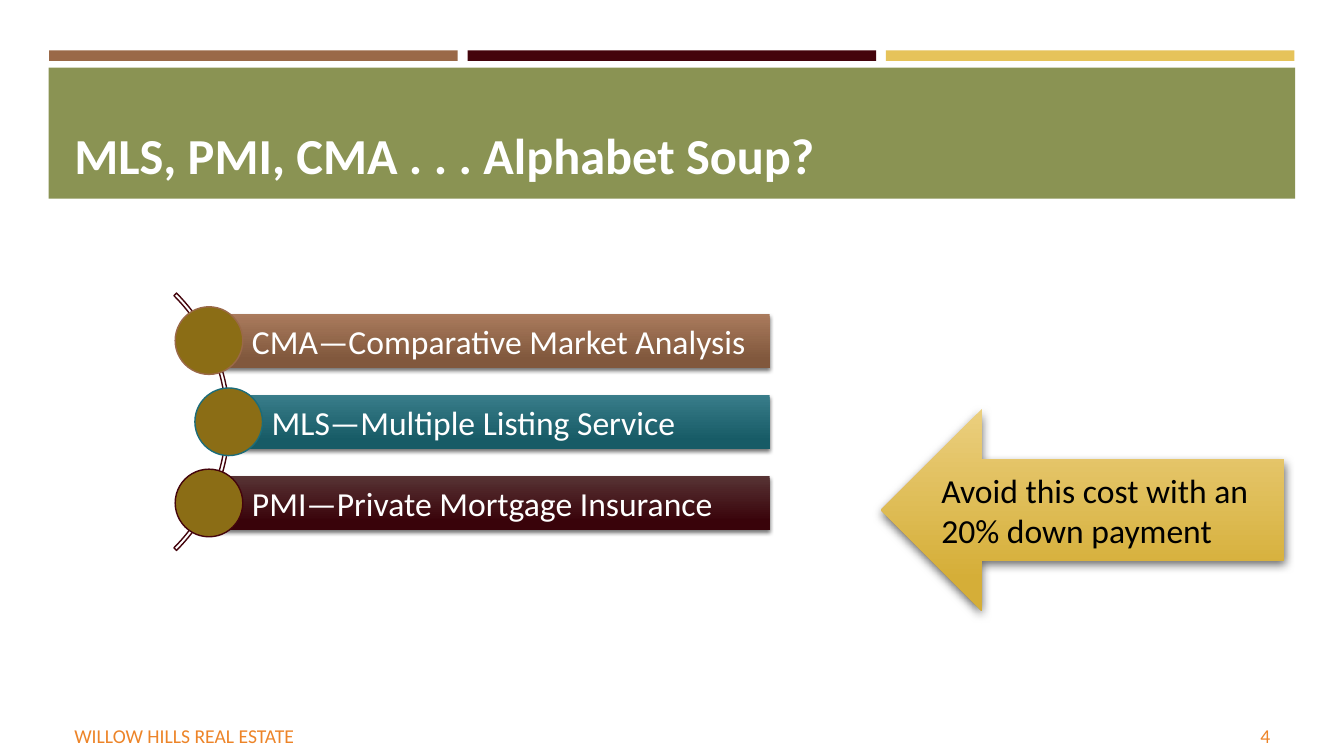
from dataclasses import dataclass

from lxml.etree import SubElement
from pptx import Presentation
from pptx.dml.color import RGBColor
from pptx.enum.shapes import MSO_SHAPE
from pptx.enum.text import MSO_ANCHOR, PP_ALIGN
from pptx.oxml.ns import qn
from pptx.shapes.autoshape import Shape
from pptx.slide import Slide
from pptx.util import Pt


@dataclass(frozen=True)
class Theme:
    font: str = "Calibri"
    title_size: int = 36
    body_size: int = 24
    footer_size: int = 14
    white: str = "FFFFFF"
    black: str = "000000"
    brown: str = "9A6948"
    maroon: str = "44040C"
    gold: str = "E6C35A"
    teal: str = "1C6C79"
    olive: str = "8A9353"
    bronze: str = "8B6D15"
    orange: str = "ED8428"
    brown_fade: tuple[str, str] = ("AA7B5D", "81583D")
    teal_fade: tuple[str, str] = ("397D8A", "175B66")
    maroon_fade: tuple[str, str] = ("573334", "39030A")
    gold_fade: tuple[str, str] = ("EBCF7E", "D5AE38")


@dataclass(frozen=True)
class Box:
    left: float
    top: float
    width: float
    height: float

    def lengths(self) -> tuple[Pt, Pt, Pt, Pt]:
        return Pt(self.left), Pt(self.top), Pt(self.width), Pt(self.height)


@dataclass(frozen=True)
class Term:
    text: str
    left: float
    fade: tuple[str, str]
    outline: str


@dataclass(frozen=True)
class Shadow:
    opacity: int
    blur: float
    distance: float
    angle: int


THEME = Theme()
TERMS = (
    Term("CMA—Comparative Market Analysis", 149.3, THEME.brown_fade, THEME.brown),
    Term("MLS—Multiple Listing Service", 163.4, THEME.teal_fade, THEME.teal),
    Term("PMI—Private Mortgage Insurance", 149.3, THEME.maroon_fade, THEME.maroon),
)
LIST_MIDDLE, TERM_STEP = 301.3, 58
BAR_RIGHT, BAR_HEIGHT, DOT_SIZE = 549.8, 38.6, 48.3
ARC_CENTER, ARC_SIZE = 34.2, 260
STRIP_LEFT, STRIP_STEP, STRIP_WIDTH = 35.1, 298.9, 291.8


def add_shape(slide: Slide, kind: MSO_SHAPE, box: Box, fill: str | None = None,
              outline: str | None = None) -> Shape:
    sp = slide.shapes.add_shape(kind, *box.lengths())
    sp.shadow.inherit = False
    if fill:
        sp.fill.solid()
        sp.fill.fore_color.rgb = RGBColor.from_string(fill)
    else:
        sp.fill.background()
    if outline:
        sp.line.color.rgb = RGBColor.from_string(outline)
        sp.line.width = Pt(1)
    else:
        sp.line.fill.background()
    return sp


def add_raised_shape(slide: Slide, kind: MSO_SHAPE, box: Box,
                     fade: tuple[str, str], shadow: Shadow) -> Shape:
    """Add a shape with a downward gradient and an outer shadow."""
    sp = add_shape(slide, kind, box)
    sp.fill.gradient()
    sp.fill.gradient_angle = 270
    for stop, color, position in zip(sp.fill.gradient_stops, fade, (0, 0.84)):
        stop.color.rgb = RGBColor.from_string(color)
        stop.position = position
    effects = sp._element.spPr.find(qn("a:effectLst"))
    outer = SubElement(effects, qn("a:outerShdw"), blurRad=str(Pt(shadow.blur)),
                       dist=str(Pt(shadow.distance)), dir=str(shadow.angle * 60000),
                       algn="ctr", rotWithShape="0")
    color = SubElement(outer, qn("a:srgbClr"), val=THEME.black)
    SubElement(color, qn("a:alpha"), val=str(shadow.opacity * 1000))
    return sp


def write(sp: Shape, text: str, size: int, color: str, bold: bool = False,
          align: PP_ALIGN = PP_ALIGN.LEFT,
          anchor: MSO_ANCHOR = MSO_ANCHOR.MIDDLE) -> None:
    tf = sp.text_frame
    tf.word_wrap = True
    tf.vertical_anchor = anchor
    p = tf.paragraphs[0]
    p.text = text
    p.alignment = align
    p.font.name = THEME.font
    p.font.size = Pt(size)
    p.font.bold = bold
    p.font.color.rgb = RGBColor.from_string(color)


def add_header(slide: Slide) -> None:
    for i, color in enumerate((THEME.brown, THEME.maroon, THEME.gold)):
        box = Box(STRIP_LEFT + i * STRIP_STEP, 36, STRIP_WIDTH, 7.5)
        add_shape(slide, MSO_SHAPE.RECTANGLE, box, color)
    add_shape(slide, MSO_SHAPE.RECTANGLE, Box(34.8, 48.4, 890.4, 93.6), THEME.olive)
    title = slide.shapes.add_textbox(*Box(46, 55.4, 868.3, 80).lengths())
    write(title, "MLS, PMI, CMA . . . Alphabet Soup?", THEME.title_size,
          THEME.white, bold=True, anchor=MSO_ANCHOR.BOTTOM)


def add_terms(slide: Slide) -> None:
    """Draw the arc and the labelled bars strung along it."""
    arc = add_shape(slide, MSO_SHAPE.BLOCK_ARC,
                    Box(ARC_CENTER - ARC_SIZE / 2, LIST_MIDDLE - ARC_SIZE / 2,
                        ARC_SIZE, ARC_SIZE), outline=THEME.maroon)
    for i, value in enumerate((189, 27, 0.01)):
        arc.adjustments[i] = value
    for i, term in enumerate(TERMS):
        middle = LIST_MIDDLE + (i - 1) * TERM_STEP
        bar = add_raised_shape(
            slide, MSO_SHAPE.RECTANGLE,
            Box(term.left, middle - BAR_HEIGHT / 2, BAR_RIGHT - term.left, BAR_HEIGHT),
            term.fade, Shadow(55, 3, 2, 90))
        tf = bar.text_frame
        tf.margin_left = Pt(30.7)
        tf.margin_top = tf.margin_right = tf.margin_bottom = Pt(4.8)
        write(bar, term.text, THEME.body_size, THEME.white)
        add_shape(slide, MSO_SHAPE.OVAL,
                  Box(term.left - DOT_SIZE / 2, middle - DOT_SIZE / 2,
                      DOT_SIZE, DOT_SIZE), THEME.bronze, term.outline)


def add_footer(slide: Slide) -> None:
    for text, left, width, align in (
        ("WILLOW HILLS REAL ESTATE", 46, 544.3, PP_ALIGN.LEFT),
        ("4", 831.6, 82.8, PP_ALIGN.RIGHT),
    ):
        sp = slide.shapes.add_textbox(*Box(left, 511.5, width, 28.5).lengths())
        write(sp, text, THEME.footer_size, THEME.orange, align=align)


def main() -> None:
    prs = Presentation()
    prs.slide_width, prs.slide_height = Pt(960), Pt(540)
    slide = prs.slides.add_slide(prs.slide_layouts[6])
    add_header(slide)
    add_terms(slide)
    add_footer(slide)
    arrow = add_raised_shape(slide, MSO_SHAPE.LEFT_ARROW, Box(629.3, 292.3, 288, 144),
                             THEME.gold_fade, Shadow(60, 7, 3, 84))
    write(arrow, "Avoid this cost with an 20% down payment", THEME.body_size, THEME.black)
    prs.save("out.pptx")


if __name__ == "__main__":
    main()
